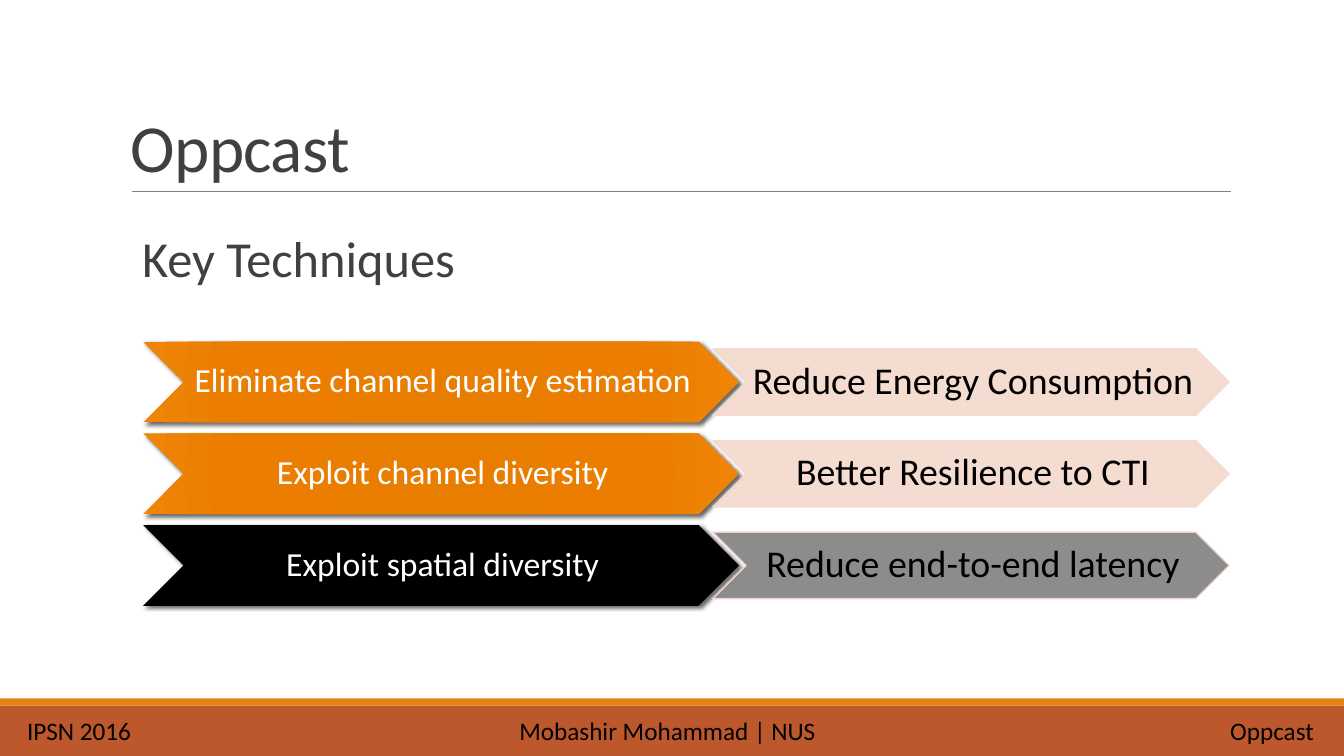
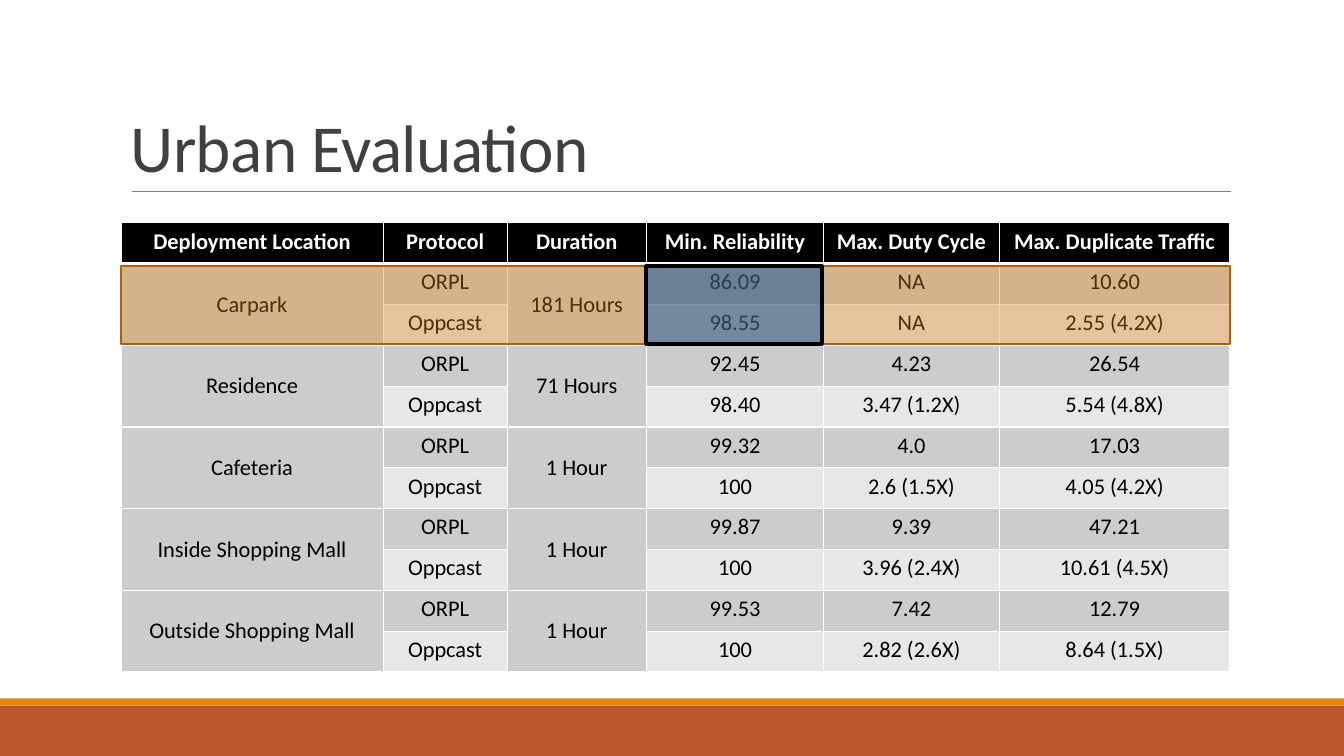
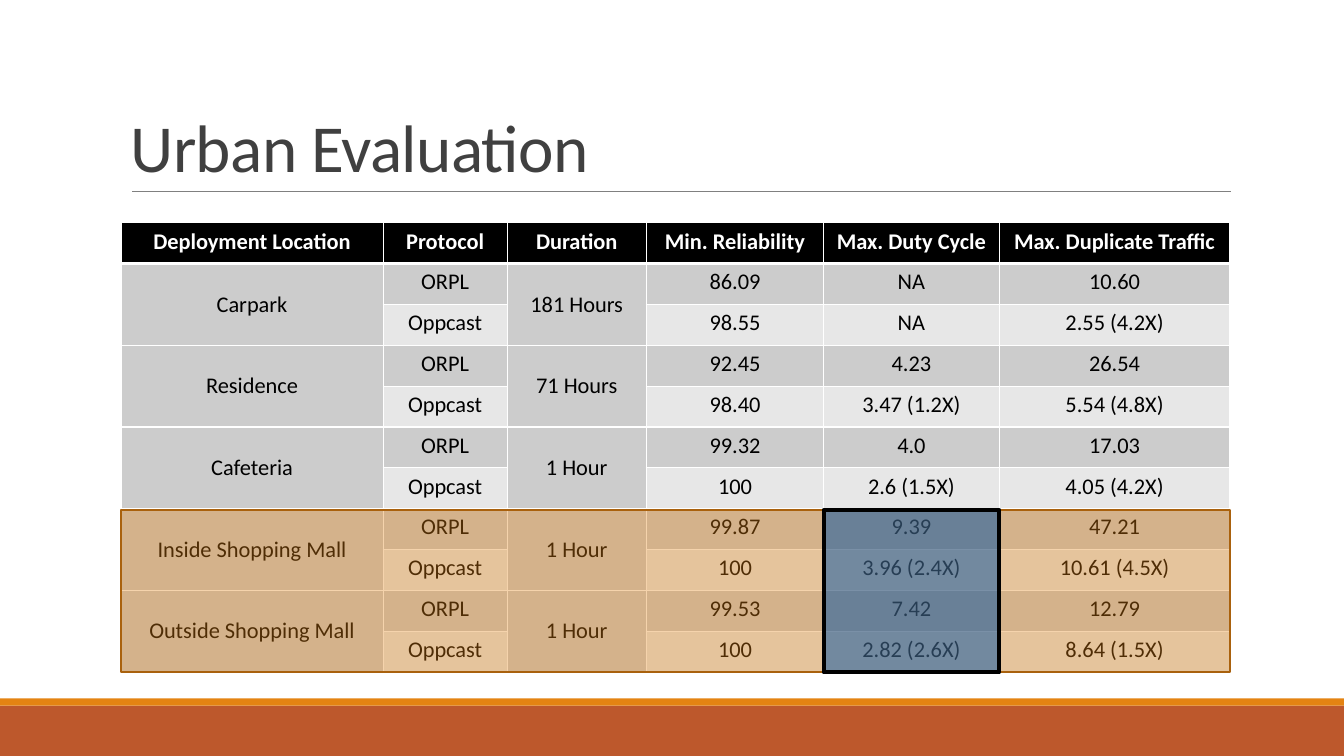
from pptx import Presentation
from pptx.dml.color import RGBColor
from pptx.enum.shapes import MSO_CONNECTOR, MSO_SHAPE
from pptx.enum.text import MSO_ANCHOR, PP_ALIGN
from pptx.oxml import parse_xml
from pptx.oxml.ns import nsdecls
from pptx.util import Inches, Pt

RECTANGLE = MSO_SHAPE.RECTANGLE
CHEVRON = MSO_SHAPE.CHEVRON
STRAIGHT = MSO_CONNECTOR.STRAIGHT
TOP, MIDDLE, BOTTOM = MSO_ANCHOR.TOP, MSO_ANCHOR.MIDDLE, MSO_ANCHOR.BOTTOM
LEFT, CENTER, RIGHT = PP_ALIGN.LEFT, PP_ALIGN.CENTER, PP_ALIGN.RIGHT

FONT = "Calibri"
BLACK, WHITE = "000000", "FFFFFF"
DARK_GRAY, GRAY = "404040", "808080"
RUST, ORANGE, DARK_ORANGE = "BD582C", "E48312", "A9610D"
PINK, BLUE = "F5D9CC", "004FA3"
DARK_ROW, LIGHT_ROW = "CCCCCC", "E7E7E7"
GLOW = [(0, "E57B00"), (34, "E87D00"), (70, "EB7E00"), (100, "EF8407")]

SLIDE_WIDTH, SLIDE_HEIGHT = 13.33, 7.5
TABLE_LEFT, TABLE_TOP, TABLE_WIDTH, TABLE_HEIGHT = 1.2, 2.21, 11, 4.46
COLUMNS = [2.6, 1.23, 1.38, 1.76, 1.74, 2.29]
RELIABILITY, DUTY_CYCLE = 3, 4
CELL_WIDTH = 1.74

HEADERS = ["Deployment Location", "Protocol", "Duration", "Min. Reliability",
           "Max. Duty Cycle", "Max. Duplicate Traffic"]
PROTOCOLS = ["ORPL", "Oppcast"]
DEPLOYMENTS = [
    ("Carpark", "181 Hours",
     ["86.09", "NA", "10.60"], ["98.55", "NA", "2.55 (4.2X)"]),
    ("Residence", "71 Hours",
     ["92.45", "4.23", "26.54"], ["98.40", "3.47 (1.2X)", "5.54 (4.8X)"]),
    ("Cafeteria", "1 Hour",
     ["99.32", "4.0", "17.03"], ["100", "2.6 (1.5X)", "4.05 (4.2X)"]),
    ("Inside Shopping Mall", "1 Hour",
     ["99.87", "9.39", "47.21"], ["100", "3.96 (2.4X)", "10.61 (4.5X)"]),
    ("Outside Shopping Mall", "1 Hour",
     ["99.53", "7.42", "12.79"], ["100", "2.82 (2.6X)", "8.64 (1.5X)"]),
]
TECHNIQUES = [
    ("Eliminate channel quality estimation", None, "Reduce Energy Consumption", PINK),
    ("Exploit channel diversity", None, "Better Resilience to CTI", PINK),
    ("Exploit spatial diversity", BLACK, "Reduce end-to-end latency", GRAY),
]
FOOTERS = [
    ("IPSN 2016", 0.17, 1.24, LEFT),
    ("Mobashir Mohammad | NUS", 5.05, 3.14, CENTER),
    ("Oppcast", 12.1, 1.03, RIGHT),
]


def rgb(color):
    return RGBColor.from_string(color)


def box(left, top, width, height):
    return [Inches(value) for value in (left, top, width, height)]


def set_attributes(target, values):
    for name, value in values.items():
        setattr(target, name, value)


def write(frame, text, size, color, align=LEFT, spacing=1.0, bold=False):
    paragraph = frame.paragraphs[0]
    set_attributes(paragraph, {"alignment": align, "line_spacing": spacing})
    run = paragraph.add_run()
    run.text = text
    set_attributes(run.font, {"name": FONT, "size": Pt(size), "bold": bold})
    run.font.color.rgb = rgb(color)
    return run


def set_margins(frame, left, top, right, bottom):
    set_attributes(frame, {
        "margin_left": Inches(left), "margin_top": Inches(top),
        "margin_right": Inches(right), "margin_bottom": Inches(bottom)})


def add_text(slide, place, text, size, color, align=LEFT, spacing=1.0,
             anchor=TOP, wrap=True):
    shape = slide.shapes.add_textbox(*box(*place))
    set_attributes(shape.text_frame, {"word_wrap": wrap, "vertical_anchor": anchor})
    return shape, write(shape.text_frame, text, size, color, align, spacing)


def set_opacity(shape, where, percent):
    for color in shape._element.spPr.xpath(where + "/a:solidFill/a:srgbClr"):
        color.append(parse_xml(f'<a:alpha {nsdecls("a")} val="{percent * 1000}"/>'))


def add_shape(slide, kind, place, fill, line=None, line_width=1, opacity=100,
              line_opacity=100):
    shape = slide.shapes.add_shape(kind, *box(*place))
    shape.shadow.inherit = False
    shape.fill.solid()
    shape.fill.fore_color.rgb = rgb(fill)
    if line:
        shape.line.color.rgb = rgb(line)
        shape.line.width = Pt(line_width)
    else:
        shape.line.fill.background()
    set_opacity(shape, ".", opacity)
    set_opacity(shape, "./a:ln", line_opacity)
    return shape


def set_glow(shape):
    stops = "".join(f'<a:gs pos="{position * 1000}"><a:srgbClr val="{color}"/></a:gs>'
                    for position, color in GLOW)
    gradient = parse_xml(
        f'<a:gradFill {nsdecls("a")} rotWithShape="1"><a:gsLst>{stops}</a:gsLst>'
        '<a:path path="circle"><a:fillToRect l="100000" t="100000" r="100000" '
        'b="100000"/></a:path></a:gradFill>')
    properties = shape._element.spPr
    properties.replace(properties.xpath("./a:solidFill")[0], gradient)


def set_shadow(shape):
    effects = shape._element.spPr.xpath("./a:effectLst")[0]
    effects.append(parse_xml(
        f'<a:outerShdw {nsdecls("a")} blurRad="{Pt(3)}" dist="{Pt(2)}" dir="2700000">'
        f'<a:srgbClr val="{BLACK}"><a:alpha val="60000"/></a:srgbClr></a:outerShdw>'))


def add_slide(presentation, title):
    slide = presentation.slides.add_slide(presentation.slide_layouts[6])
    add_shape(slide, RECTANGLE, (0, 7, SLIDE_WIDTH, 0.5), RUST)
    add_shape(slide, RECTANGLE, (0, 6.93, SLIDE_WIDTH, 0.07), ORANGE)
    rule = slide.shapes.add_connector(
        STRAIGHT, Inches(1.31), Inches(1.9), Inches(12.21), Inches(1.9))
    rule.line.color.rgb = rgb(GRAY)
    rule.line.width = Pt(0.5)
    rule._element.spPr.append(parse_xml(f'<a:effectLst {nsdecls("a")}/>'))
    _, run = add_text(slide, (1.2, 0.31, 11, 1.59), title, 48, DARK_GRAY,
                      spacing=0.85, anchor=BOTTOM)
    run.font._element.set("spc", "-50")
    return slide


def add_chevron_text(shape, text, size, color, margin):
    frame = shape.text_frame
    set_attributes(frame, {"word_wrap": True, "vertical_anchor": MIDDLE})
    set_margins(frame, margin, 0.02, 0, 0.02)
    write(frame, text, size, color, CENTER, 0.9)


def add_technique(slide, top, technique, technique_fill, benefit, benefit_fill):
    action = add_shape(slide, CHEVRON, (1.42, top, 5.91, 0.8), technique_fill or GLOW[0][1])
    if technique_fill is None:
        set_glow(action)
    set_shadow(action)
    add_chevron_text(action, technique, 24, WHITE, 0.03)
    result = add_shape(slide, CHEVRON, (7.07, top + 0.07, 5.12, 0.66), benefit_fill,
                       PINK, opacity=90, line_opacity=90)
    add_chevron_text(result, benefit, 27, BLACK, 0.04)


def set_cell(cell, text, fill, color=BLACK, bold=False, anchor=TOP, top=1, bottom=1):
    properties = cell._tc.get_or_add_tcPr()
    for side, width in {"L": 1, "R": 1, "T": top, "B": bottom}.items():
        properties.append(parse_xml(
            f'<a:ln{side} {nsdecls("a")} w="{Pt(width)}"><a:solidFill>'
            f'<a:srgbClr val="{WHITE}"/></a:solidFill></a:ln{side}>'))
    cell.fill.solid()
    cell.fill.fore_color.rgb = rgb(fill)
    cell.vertical_anchor = anchor
    if text:
        write(cell.text_frame, text, 16, color, CENTER, bold=bold)


def add_results_table(slide):
    row_count = 1 + len(PROTOCOLS) * len(DEPLOYMENTS)
    table = slide.shapes.add_table(
        row_count, len(COLUMNS),
        *box(TABLE_LEFT, TABLE_TOP, TABLE_WIDTH, TABLE_HEIGHT)).table
    table.horz_banding = False
    for column, width in zip(table.columns, COLUMNS):
        column.width = Inches(width)
    for row in table.rows:
        row.height = Inches(TABLE_HEIGHT / row_count)
    for column, header in enumerate(HEADERS):
        set_cell(table.cell(0, column), header, BLACK, WHITE, True, bottom=3)
    for index, (location, duration, *results) in enumerate(DEPLOYMENTS):
        first = 1 + index * len(PROTOCOLS)
        for offset, (protocol, values) in enumerate(zip(PROTOCOLS, results)):
            shared = [location, duration] if offset == 0 else ["", ""]
            texts = [shared[0], protocol, shared[1], *values]
            for column, text in enumerate(texts):
                spans = column in (0, 2)
                set_cell(table.cell(first + offset, column), text,
                         DARK_ROW if spans or offset == 0 else LIGHT_ROW,
                         anchor=MIDDLE if spans else TOP,
                         top=3 if first + offset == 1 else 1)
        for column in (0, 2):
            table.cell(first, column).merge(table.cell(first + 1, column))


def add_evaluation_slide(presentation, top, height, column):
    slide = add_slide(presentation, "Urban Evaluation")
    add_results_table(slide)
    add_shape(slide, RECTANGLE, (TABLE_LEFT, top, TABLE_WIDTH, height), ORANGE,
              DARK_ORANGE, 1.25, opacity=35)
    left = TABLE_LEFT + sum(COLUMNS[:column])
    add_shape(slide, RECTANGLE, (left, top, CELL_WIDTH, height), BLUE, BLACK, 3,
              opacity=50)


def add_techniques_slide(presentation):
    slide = add_slide(presentation, "Oppcast")
    heading, _ = add_text(slide, (1.41, 2.27, 11, 0.8), "Key Techniques", 36,
                          DARK_GRAY, spacing=0.9)
    set_margins(heading.text_frame, 0, 0.05, 0, 0.05)
    for text, left, width, align in FOOTERS:
        add_text(slide, (left, 7.05, width, 0.4), text, 18, BLACK, align, wrap=False)
    for index, technique in enumerate(TECHNIQUES):
        add_technique(slide, 3.39 + index * 0.91, *technique)


def main():
    presentation = Presentation()
    presentation.slide_width = Inches(SLIDE_WIDTH)
    presentation.slide_height = Inches(SLIDE_HEIGHT)
    add_techniques_slide(presentation)
    add_evaluation_slide(presentation, 2.64, 0.77, RELIABILITY)
    add_evaluation_slide(presentation, 5.06, 1.61, DUTY_CYCLE)
    presentation.save("out.pptx")


if __name__ == "__main__":
    main()
